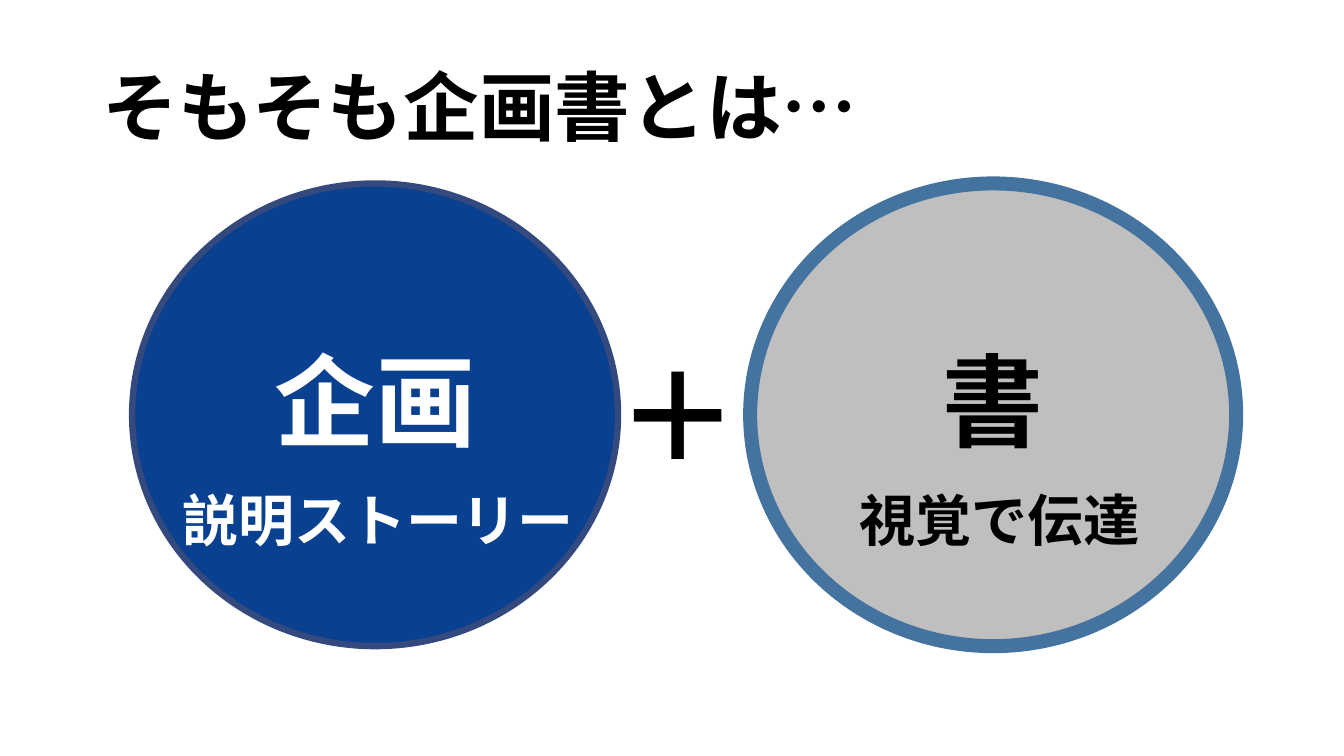
from pptx import Presentation
from pptx import util as u
from pptx.dml.color import RGBColor
from pptx.enum import shapes, text
from pptx.oxml.ns import qn
from lxml import etree

WIDTH, HEIGHT = 13.33, 7.5
JAPANESE = "Noto Sans CJK JP"
CIRCLE_TOP, CIRCLE_WIDTH, CIRCLE_HEIGHT = 1.82, 4.82, 4.59


def color(value):
    return RGBColor.from_string(value)


def write(shape, words, size, ink, font=JAPANESE, align=text.PP_ALIGN.CENTER):
    """Put one bold line in a shape, with the same Latin and East Asian font."""
    shape.text_frame.text = words
    para = shape.text_frame.paragraphs[0]
    para.alignment = align
    span = para.runs[0]
    span.font.size, span.font.bold = u.Pt(size), True
    span.font.name = font
    span.font.color.rgb = color(ink)
    latin = span.font._element.find(qn("a:latin"))
    east_asian = etree.Element(qn("a:ea"), typeface=font)
    latin.addnext(east_asian)
    return para


def add_label(page, box, words, size, ink, **style):
    label = page.shapes.add_textbox(*map(u.Inches, box))
    label.text_frame.word_wrap = False
    return label, write(label, words, size, ink, **style)


def add_title(page, box, words):
    title, para = add_label(page, box, words, 54, "000000",
                            align=text.PP_ALIGN.LEFT)
    title.text_frame.word_wrap = True
    title.text_frame.vertical_anchor = text.MSO_ANCHOR.MIDDLE
    para.line_spacing = 0.9


def add_circle(page, box, word, caption, fill, ink, line, line_width):
    """Draw a circle with a large word and a caption below its centre."""
    left, top, width, height = box
    circle = page.shapes.add_shape(shapes.MSO_SHAPE.OVAL, *map(u.Inches, box))
    circle.shadow.inherit = False
    circle.fill.solid()
    circle.fill.fore_color.rgb = color(fill)
    circle.line.color.rgb = color(line)
    circle.line.width = u.Pt(line_width)
    circle.text_frame.word_wrap = True
    circle.text_frame.vertical_anchor = text.MSO_ANCHOR.MIDDLE
    circle.text_frame.margin_bottom = u.Inches(0.36)
    write(circle, word, 72, ink)
    return left + width / 2, top + 2.95, caption, ink


def add_caption(page, center, top, words, ink):
    width = 4.13
    add_label(page, (center - width / 2, top, width, 0.77), words, 40, ink)


def main():
    deck = Presentation()
    deck.slide_width, deck.slide_height = u.Inches(WIDTH), u.Inches(HEIGHT)
    page = deck.slides.add_slide(deck.slide_layouts[6])

    add_title(page, (0.92, 0.38, 11.5, 1.45), "そもそも企画書とは…")
    circles = [
        (1.31, 0.03, "企画", "説明ストーリー", "0A4090", "FFFFFF", "34497D", 4.5),
        (7.44, 0.06, "書", "視覚で伝達", "BFBFBF", "000000", "43739E", 10),
    ]
    for left, shift, *content in circles:
        box = (left, CIRCLE_TOP, CIRCLE_WIDTH, CIRCLE_HEIGHT)
        center, top, caption, ink = add_circle(page, box, *content)
        add_caption(page, center + shift, top, caption, ink)
    add_label(page, (6.02, 3.32, 1.44, 1.58), "＋", 88, "000000",
              font="Karla", align=text.PP_ALIGN.LEFT)

    deck.save("out.pptx")


if __name__ == "__main__":
    main()
